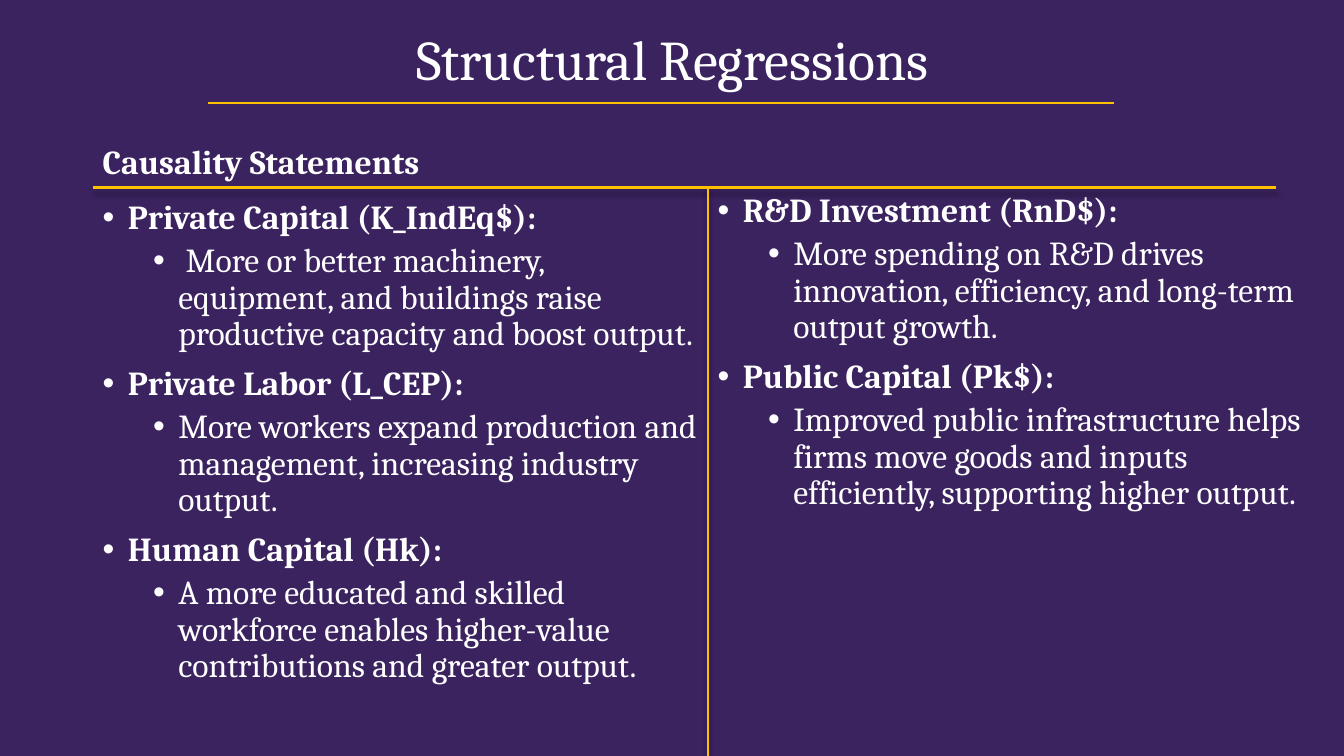
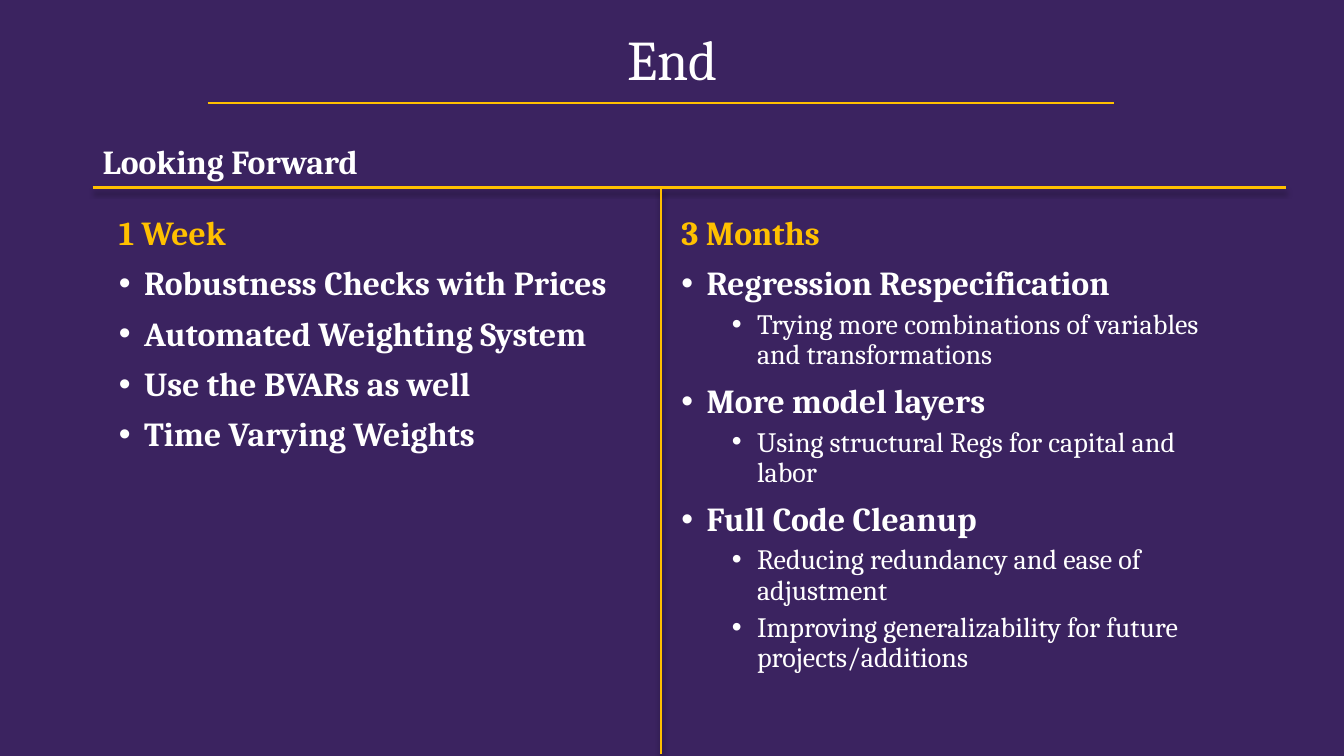
"""Build two slides: the causality statements and the plan ahead."""
import pptx
import pptx.dml.color
import pptx.enum.shapes
import pptx.enum.text
import pptx.oxml
import pptx.oxml.ns
import pptx.util
from pptx.util import Inches

FONT = "Cambria"
PURPLE, GOLD, WHITE = "3B2360", "FFC000", "FFFFFF"
NS = pptx.oxml.ns.nsdecls("a")
SHADOW = (
    f'<a:effectLst {NS}><a:outerShdw blurRad="50800" dist="38100" dir="5400000" '
    'algn="t" rotWithShape="0"><a:srgbClr val="000000"><a:alpha val="40000"/>'
    '</a:srgbClr></a:outerShdw></a:effectLst>'
)
FLAT = f"<a:effectLst {NS}/>"
HEAD, ITEM, SUB = "head", "item", "sub"

SLIDES = [
    {
        "title": "Structural Regressions",
        "topic": "Causality Statements",
        "end": 12.66,
        "split": (7.02, 7.5),
        "small": 24,
        "lists": [
            ((0.92, 1.94, 6.1, 5.37), [
                (ITEM, "Private Capital (K_IndEq$):"),
                (SUB, " More or better machinery, equipment, and buildings raise "
                      "productive capacity and boost output."),
                (ITEM, "Private Labor (L_CEP):"),
                (SUB, "More workers expand production and management, "
                      "increasing industry output."),
                (ITEM, "Human Capital (Hk):"),
                (SUB, "A more educated and skilled workforce enables "
                      "higher-value contributions and greater output."),
            ]),
            ((7.02, 1.87, 6.1, 5.37), [
                (ITEM, "R&D Investment (RnD$):"),
                (SUB, "More spending on R&D drives innovation, efficiency, "
                      "and long-term output growth."),
                (ITEM, "Public Capital (Pk$):"),
                (SUB, "Improved public infrastructure helps firms move goods "
                      "and inputs efficiently, supporting higher output."),
            ]),
        ],
    },
    {
        "title": "End",
        "topic": "Looking Forward",
        "end": 12.75,
        "split": (6.56, 7.48),
        "small": 20,
        "lists": [
            ((1.08, 2.1, 5.38, 4.88), [
                (HEAD, "1 Week"),
                (ITEM, "Robustness Checks with Prices"),
                (ITEM, "Automated Weighting System"),
                (ITEM, "Use the BVARs as well"),
                (ITEM, "Time Varying Weights"),
            ]),
            ((6.66, 2.1, 5.65, 4.88), [
                (HEAD, "3 Months"),
                (ITEM, "Regression Respecification"),
                (SUB, "Trying more combinations of variables and transformations"),
                (ITEM, "More model layers"),
                (SUB, "Using structural Regs for capital and labor"),
                (ITEM, "Full Code Cleanup"),
                (SUB, "Reducing redundancy and ease of adjustment"),
                (SUB, "Improving generalizability for future projects/additions"),
            ]),
        ],
    },
]


def paint(color, tint):
    color.rgb = pptx.dml.color.RGBColor.from_string(tint)


def write(slide, box, rows, small=24):
    frame = slide.shapes.add_textbox(*map(Inches, box)).text_frame
    frame.word_wrap = True
    frame.text = "\n".join(text for kind, text in rows)
    for para, (kind, text) in zip(frame.paragraphs, rows):
        font = para.runs[0].font
        font.name = FONT
        font.size = pptx.util.Pt(small if kind == SUB else 24)
        font.bold = kind != SUB
        paint(font.color, GOLD if kind == HEAD else WHITE)
        if kind in (ITEM, SUB):
            para.level = int(kind == SUB)
            props = para._p.get_or_add_pPr()
            props.set("marL", str(Inches(0.75 if kind == SUB else 0.25)))
            props.set("indent", str(Inches(-0.25)))
            props.append(pptx.oxml.parse_xml(f'<a:buFont {NS} typeface="Arial"/>'))
            props.append(pptx.oxml.parse_xml(f'<a:buChar {NS} char="•"/>'))
        if kind in (HEAD, ITEM, SUB):
            para.line_spacing = 0.9
            para.space_before = pptx.util.Pt(5 if kind == SUB else 10)
    return frame


deck = pptx.Presentation()
deck.slide_width, deck.slide_height = Inches(13.33), Inches(7.5)
back = deck.slide_master.background.fill
back.solid()
paint(back.fore_color, PURPLE)

for page in SLIDES:
    slide = deck.slides.add_slide(deck.slide_layouts[6])

    title = write(slide, (0.92, 0.2, 11.5, 0.83), [("title", page["title"])])
    title.vertical_anchor = pptx.enum.text.MSO_ANCHOR.MIDDLE
    para = title.paragraphs[0]
    para.alignment = pptx.enum.text.PP_ALIGN.CENTER
    para.line_spacing = 0.9
    para.runs[0].font.size = pptx.util.Pt(40)
    para.runs[0].font.bold = False

    write(slide, (0.92, 1.35, 12.21, 0.5), [("topic", page["topic"])])
    for box, rows in page["lists"]:
        write(slide, box, rows, page["small"])

    split, foot = page["split"]
    for ends, effect in [
        ((2.06, 1.02, 11.05, 1.02), FLAT),
        ((0.92, 1.86, page["end"], 1.86), SHADOW),
        ((split, 1.86, split, foot), SHADOW),
    ]:
        rule = slide.shapes.add_connector(
            pptx.enum.shapes.MSO_CONNECTOR.STRAIGHT, *map(Inches, ends))
        paint(rule.line.color, GOLD)
        rule.line.width = pptx.util.Pt(1.5)
        rule._element.spPr.append(pptx.oxml.parse_xml(effect))

deck.save("out.pptx")
